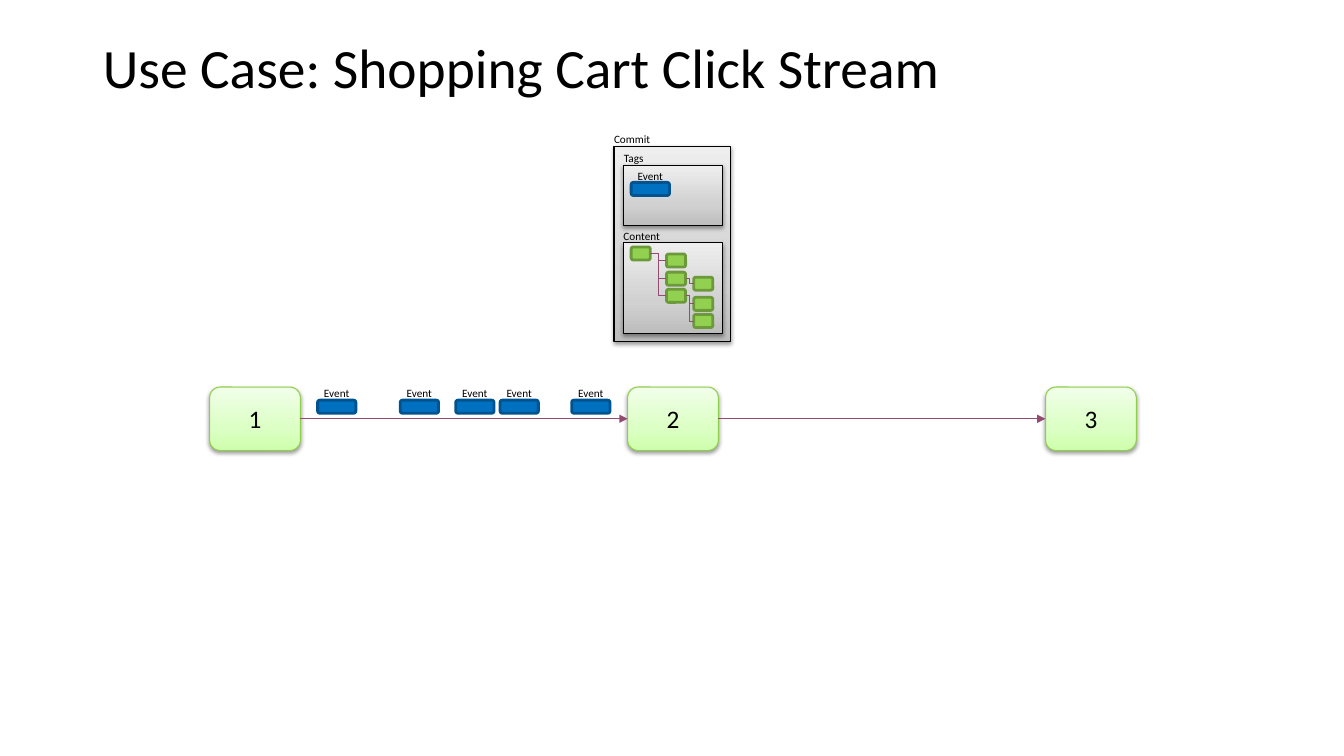
from copy import deepcopy
from pptx import Presentation
from pptx.dml.color import RGBColor as RGB
from pptx.enum.shapes import MSO_CONNECTOR as CONN, MSO_SHAPE as SHAPE
from pptx.enum.text import MSO_ANCHOR, MSO_AUTO_SIZE as FIT, PP_ALIGN
from pptx.oxml.ns import qn
from pptx.oxml.xmlchemy import OxmlElement
from pptx.util import Inches, Pt

# Theme: fills (a list is a gradient from the bottom up), outlines, type
THEME = {
    "font": "Calibri", "text": "000000", "link": "934C6F",
    "title": 39.6, "number": 18, "label": 8,
    "state": dict(geom=SHAPE.ROUNDED_RECTANGLE, fill=["CEFFAC", "DBFFC4", "F1FFE9"],
                  line="8FCF4B", width=0.75),
    "panel": dict(geom=SHAPE.RECTANGLE, fill=["BDBDBD", "D1D1D1", "EEEEEE"],
                  line="000000", width=0.75),
    "event": dict(geom=SHAPE.ROUNDED_RECTANGLE, fill="0070C0", line="00538E", width=2),
    "node": dict(geom=SHAPE.ROUNDED_RECTANGLE, fill="92D050", line="6C9A3B", width=2),
}
STOPS = [0, 0.35, 1]
SHADOW = {"blurRad": Pt(3.1), "dist": Pt(1.6), "dir": 5400000, "rotWithShape": 0}


def add_box(shapes, look, x, y, w, h):
    style = THEME[look]
    sp = shapes.add_shape(style["geom"], *map(Inches, (x, y, w, h)))
    sp.line.color.rgb = RGB.from_string(style["line"])
    sp.line.width = Pt(style["width"])
    sp.shadow.inherit = False
    if isinstance(style["fill"], str):
        sp.fill.solid()
        sp.fill.fore_color.rgb = RGB.from_string(style["fill"])
        return sp
    # Three-stop gradient with a soft shadow below
    sp.fill.gradient()
    sp.fill.gradient_angle = 90
    spPr = sp._element.spPr
    stop_list = spPr.find(".//" + qn("a:gsLst"))
    stop_list.insert(1, deepcopy(stop_list[0]))
    for stop, pos, color in zip(sp.fill.gradient_stops, STOPS, style["fill"]):
        stop.position = pos
        stop.color.rgb = RGB.from_string(color)
    parent = spPr.find(qn("a:effectLst"))
    for tag, attrs in (("a:outerShdw", SHADOW), ("a:srgbClr", {"val": "000000"}),
                       ("a:alpha", {"val": 38000})):
        child = OxmlElement(tag)
        for key, value in attrs.items():
            child.set(key, str(value))
        parent.append(child)
        parent = child
    return sp


def set_text(sp, text, size, align=PP_ALIGN.CENTER, **frame):
    tf = sp.text_frame
    for key, value in frame.items():
        setattr(tf, key, value)
    p = tf.paragraphs[0]
    p.alignment = align
    r = p.add_run()
    r.text = text
    for key, value in {"name": THEME["font"], "size": Pt(THEME[size])}.items():
        setattr(r.font, key, value)
    r.font.color.rgb = RGB.from_string(THEME["text"])
    return p


prs = Presentation()
prs.slide_width, prs.slide_height = Inches(13.33), Inches(7.5)
s = prs.slides.add_slide(prs.slide_layouts[5])

# Title
title = s.shapes.title
title.left, title.top, title.width, title.height = map(Inches, (0.92, 0.4, 11.5, 0.6))
p = set_text(title, "Use Case: Shopping Cart Click Stream", "title", PP_ALIGN.LEFT,
             vertical_anchor=MSO_ANCHOR.MIDDLE, auto_size=FIT.NONE, word_wrap=True)
p.line_spacing = 0.9

# Numbered states along the timeline
states = []
for i in range(3):
    sp = add_box(s.shapes, "state", 2.08 + 4.145 * i, 3.84, 0.9, 0.63)
    set_text(sp, str(i + 1), "number", vertical_anchor=MSO_ANCHOR.MIDDLE)
    states.append(sp)

# Arrows between the states
links = []
for start, end in zip(states, states[1:]):
    arrow = s.shapes.add_connector(CONN.STRAIGHT, 0, 0, 0, 0)
    arrow.begin_connect(start, 3)
    arrow.end_connect(end, 1)
    tail = OxmlElement("a:tailEnd")
    tail.set("type", "triangle")
    arrow.line._get_or_add_ln().append(tail)
    links.append(arrow)

# Commit panel holding the tags and content panels
commit = s.shapes.add_group_shape().shapes
labels = []
for text, label_w, x, y, w, h in [("Commit", 0.36, 6.09, 1.45, 1.16, 1.94),
                                  ("Tags", 0.21, 6.18, 1.64, 0.99, 0.6),
                                  ("Content", 0.37, 6.18, 2.41, 0.99, 0.9)]:
    add_box(commit, "panel", x, y, w, h)
    labels.append((commit, text, x, y - 0.135, label_w))

# Events: one tagged in the commit, five on the timeline
events = [(commit, 6.26, 1.81)]
for x in (3.15, 3.97, 4.52, 4.96, 5.67):
    events.append((s.shapes.add_group_shape().shapes, x, 3.97))
for group, x, y in events:
    add_box(group, "event", x, y, 0.38, 0.13)
    labels.append((group, "Event", x + 0.06, y - 0.135, 0.26))

# Small captions above panels and events
for group, text, x, y, w in labels:
    tb = group.add_textbox(*map(Inches, (x, y, w, 0.13)))
    set_text(tb, text, "label", margin_left=0, margin_right=0, margin_top=0,
             margin_bottom=0, word_wrap=False, auto_size=FIT.SHAPE_TO_FIT_TEXT)

# Content tree: each node with the index of its parent
NODE_W, NODE_H = 0.19, 0.13
tree = [(6.26, 2.45, None), (6.61, 2.52, 0), (6.61, 2.7, 0), (6.61, 2.87, 0),
        (6.88, 2.75, 2), (6.88, 2.95, 3), (6.88, 3.12, 3)]
for x, y, parent in tree:
    add_box(commit, "node", x, y, NODE_W, NODE_H)
    if parent is not None:
        px, py, _ = tree[parent]
        ends = (px + NODE_W, py + NODE_H / 2, x, y + NODE_H / 2)
        links.append(commit.add_connector(CONN.ELBOW, *map(Inches, ends)))

# Common look of arrows and tree links
for link in links:
    link.line.color.rgb = RGB.from_string(THEME["link"])
    link.line.width = Pt(0.75)
    link._element.spPr.append(OxmlElement("a:effectLst"))

prs.save("out.pptx")
